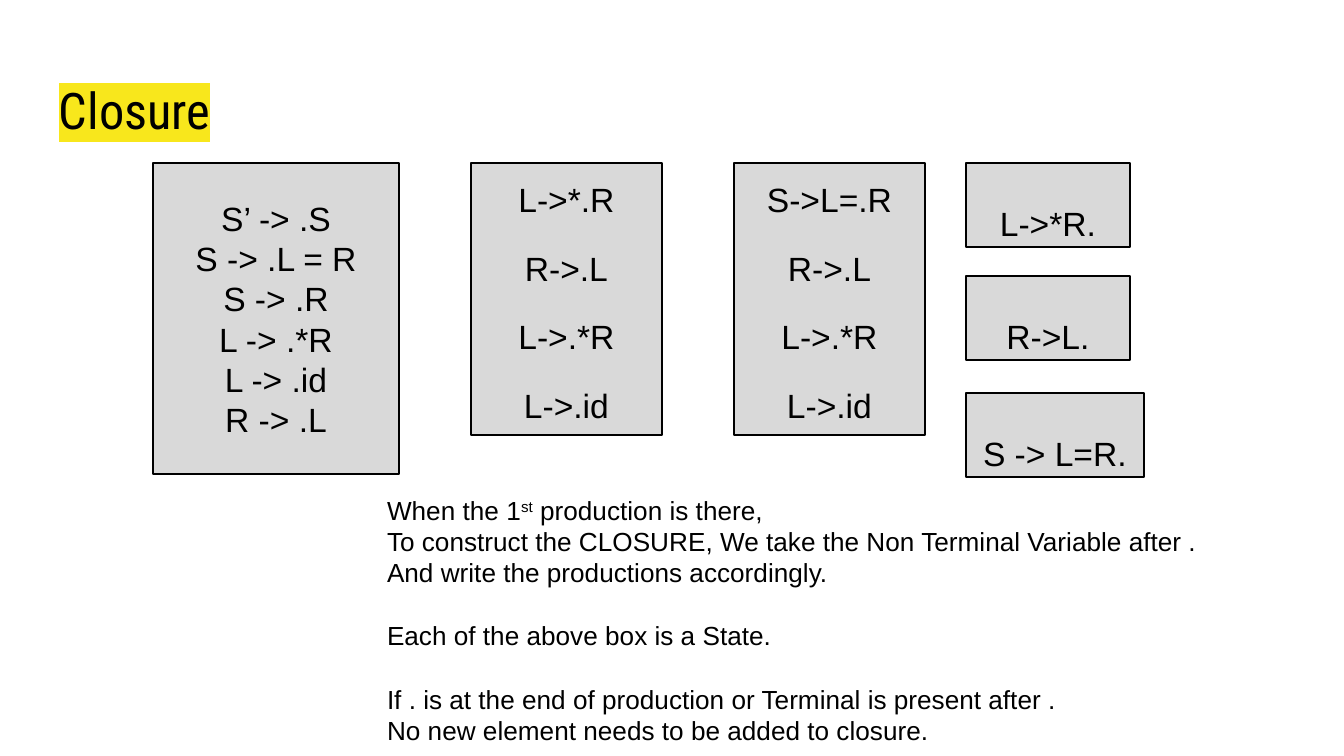
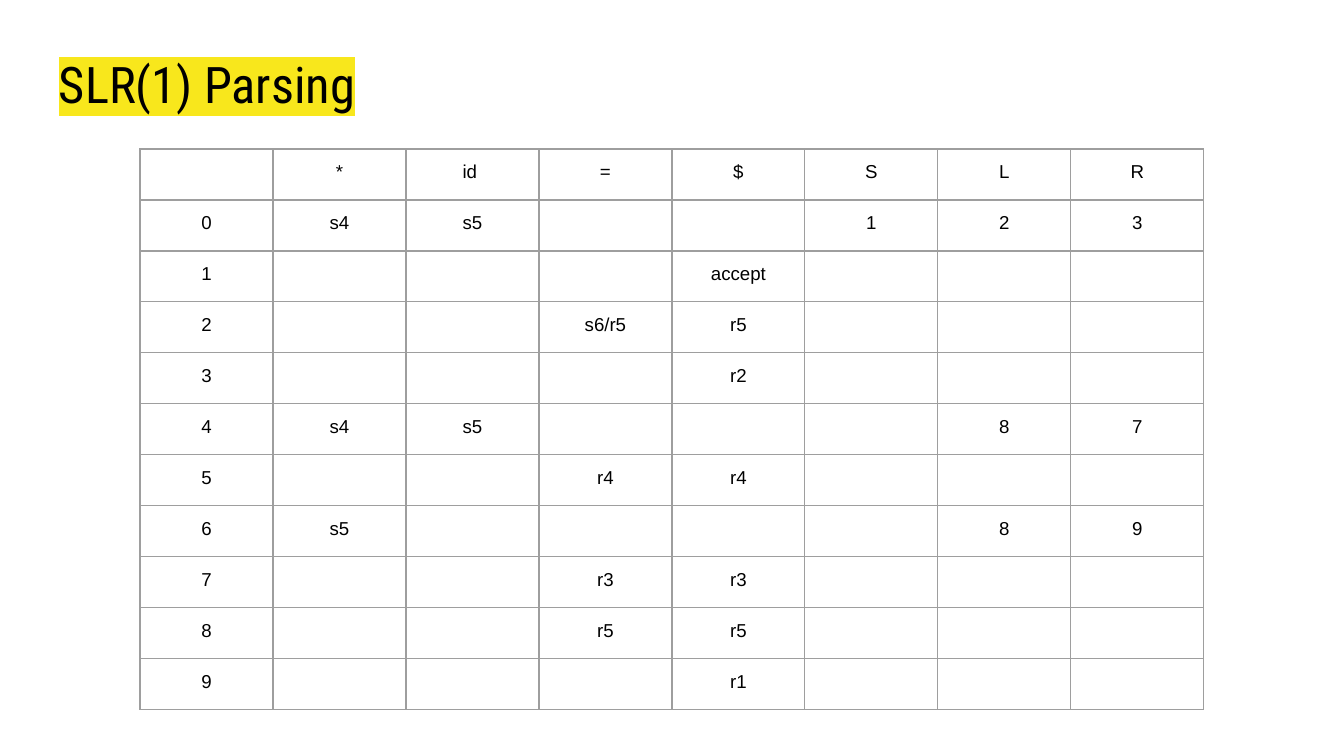
from lxml import etree
from pptx import Presentation
from pptx import util as u
from pptx.dml.color import RGBColor
from pptx.enum import shapes, text
from pptx.oxml.ns import qn

BLACK = RGBColor(0x00, 0x00, 0x00)
BOX_GREY = RGBColor(0xD9, 0xD9, 0xD9)
YELLOW = RGBColor(0xF8, 0xE7, 0x1C)
BORDER = RGBColor(0x9E, 0x9E, 0x9E)
BODY_FONT, TITLE_FONT = "Arial", "Roboto Condensed"
INSET = 13

START_STATE = ["S’ -> .S", "S -> .L = R", "S -> .R", "L -> .*R", "L -> .id", "R -> .L"]
SPACED_STATES = [
    (471, ["L->*.R", "R->.L", "L->.*R", "L->.id"]),
    (734, ["S->L=.R", "R->.L", "L->.*R", "L->.id"]),
]
FINAL_STATES = [(163, 164, "L->*R."), (276, 164, "R->L."), (393, 178, "S -> L=R.")]

NOTES = [
    [["When the 1", ("st",), " production is there,"],
     ["To construct the CLOSURE, We take the Non Terminal Variable after ."],
     ["And write the productions accordingly."]],
    [["Each of the above box is a State."]],
    [["If . is at the end of production or Terminal is present after ."],
     ["No new element needs to be added to closure."]],
]

SYMBOLS = ["*", "id ", "=", "$", "S", "L", "R"]
ACTIONS = [
    {"*": "s4", "id ": "s5", "S": "1", "L": "2", "R": "3"},
    {"$": "accept"},
    {"=": "s6/r5", "$": "r5"},
    {"$": "r2"},
    {"*": "s4", "id ": "s5", "L": "8", "R": "7"},
    {"=": "r4", "$": "r4"},
    {"*": "s5", "L": "8", "R": "9"},
    {"=": "r3", "$": "r3"},
    {"=": "r5", "$": "r5"},
    {"$": "r1"},
]


def px(n):
    return u.Emu(round(n * 914400 / 134.4))


def add_run(p, words, size, font=BODY_FONT):
    r = p.add_run()
    r.text = words
    r.font.size = u.Pt(size)
    r.font.name = font
    r.font.color.rgb = BLACK
    return r


def set_insets(target, top=INSET, bottom=INSET):
    target.margin_left = target.margin_right = px(INSET)
    target.margin_top, target.margin_bottom = px(top), px(bottom)


def paragraph(tf, i):
    return tf.add_paragraph() if i else tf.paragraphs[0]


def add_text_box(s, x, y, w, h):
    tf = s.shapes.add_textbox(px(x), px(y), px(w), px(h)).text_frame
    tf.word_wrap = True
    set_insets(tf)
    return tf


def add_title(s, y, words):
    r = add_run(add_text_box(s, 46, y, 1252, 85).paragraphs[0], words, 27, TITLE_FONT)
    highlight = etree.Element(qn("a:highlight"))
    etree.SubElement(highlight, qn("a:srgbClr"), val=str(YELLOW))
    r.font._element.find(qn("a:solidFill")).addnext(highlight)


def add_state(s, x, y, w, h, items, spaced=False, insets=(INSET, INSET)):
    sp = s.shapes.add_shape(shapes.MSO_SHAPE.RECTANGLE, px(x), px(y), px(w), px(h))
    sp.shadow.inherit = False
    sp.fill.solid()
    sp.fill.fore_color.rgb = BOX_GREY
    sp.line.color.rgb = BLACK
    sp.line.width = u.Pt(0.75)
    tf = sp.text_frame
    tf.word_wrap = True
    tf.vertical_anchor = text.MSO_ANCHOR.MIDDLE
    set_insets(tf, *insets)
    for i, item in enumerate(items):
        p = paragraph(tf, i)
        p.alignment = text.PP_ALIGN.CENTER
        if spaced:
            p.line_spacing = 1.15
            p.space_before = u.Pt(12 if i else 0)
            p.space_after = u.Pt(12 if i == len(items) - 1 else 0)
        add_run(p, item, 18)


def add_notes(s):
    tf = add_text_box(s, 374, 487, 856, 268)
    set_insets(tf, 7, 7)
    lines = [(line, g > 0 and i == 0) for g, group in enumerate(NOTES)
             for i, line in enumerate(group)]
    for i, (line, starts_group) in enumerate(lines):
        p = paragraph(tf, i)
        if starts_group:
            p.space_before = u.Pt(17)
        for part in line:
            raised = isinstance(part, tuple)
            r = add_run(p, part[0] if raised else part, 14)
            if raised:
                r.font._element.set("baseline", "30000")


def style_cell(cell, words):
    cell.fill.background()
    set_insets(cell)
    p = cell.text_frame.paragraphs[0]
    p.alignment = text.PP_ALIGN.CENTER
    if words:
        add_run(p, words, 10)
    else:
        etree.SubElement(p._p, qn("a:endParaRPr"), sz="1000")
    tc_pr = cell._tc.get_or_add_tcPr()
    for i, side in enumerate("LRTB"):
        ln = etree.Element(qn("a:ln" + side), w=str(u.Pt(0.75)))
        fill = etree.SubElement(ln, qn("a:solidFill"))
        etree.SubElement(fill, qn("a:srgbClr"), val=str(BORDER))
        tc_pr.insert(i, ln)


def add_parsing_table(s, x, y, col_w, row_h):
    rows = [[""] + SYMBOLS]
    rows += [[str(n)] + [acts.get(k, "") for k in SYMBOLS] for n, acts in enumerate(ACTIONS)]
    n_rows, n_cols = len(rows), len(rows[0])
    table = s.shapes.add_table(n_rows, n_cols, px(x), px(y),
                               px(col_w * n_cols), px(row_h * n_rows)).table
    table.first_row = table.horz_banding = False
    for col in table.columns:
        col.width = px(col_w)
    for i, row in enumerate(rows):
        table.rows[i].height = px(row_h)
        for j, words in enumerate(row):
            style_cell(table.cell(i, j), words)


def main():
    prs = Presentation()
    prs.slide_width, prs.slide_height = px(1344), px(756)
    closure, parsing = [prs.slides.add_slide(prs.slide_layouts[6]) for _ in range(2)]

    add_title(closure, 66, "Closure")
    add_state(closure, 153, 163, 246, 311, START_STATE)
    for x, items in SPACED_STATES:
        add_state(closure, x, 163, 191, 272, items, spaced=True)
    for y, w, item in FINAL_STATES:
        add_state(closure, 966, y, w, 84, [item], insets=(36, 0))
    add_notes(closure)

    add_title(parsing, 40, "SLR(1) Parsing")
    add_parsing_table(parsing, 140, 149, 133, 51)
    prs.save("out.pptx")


if __name__ == "__main__":
    main()
